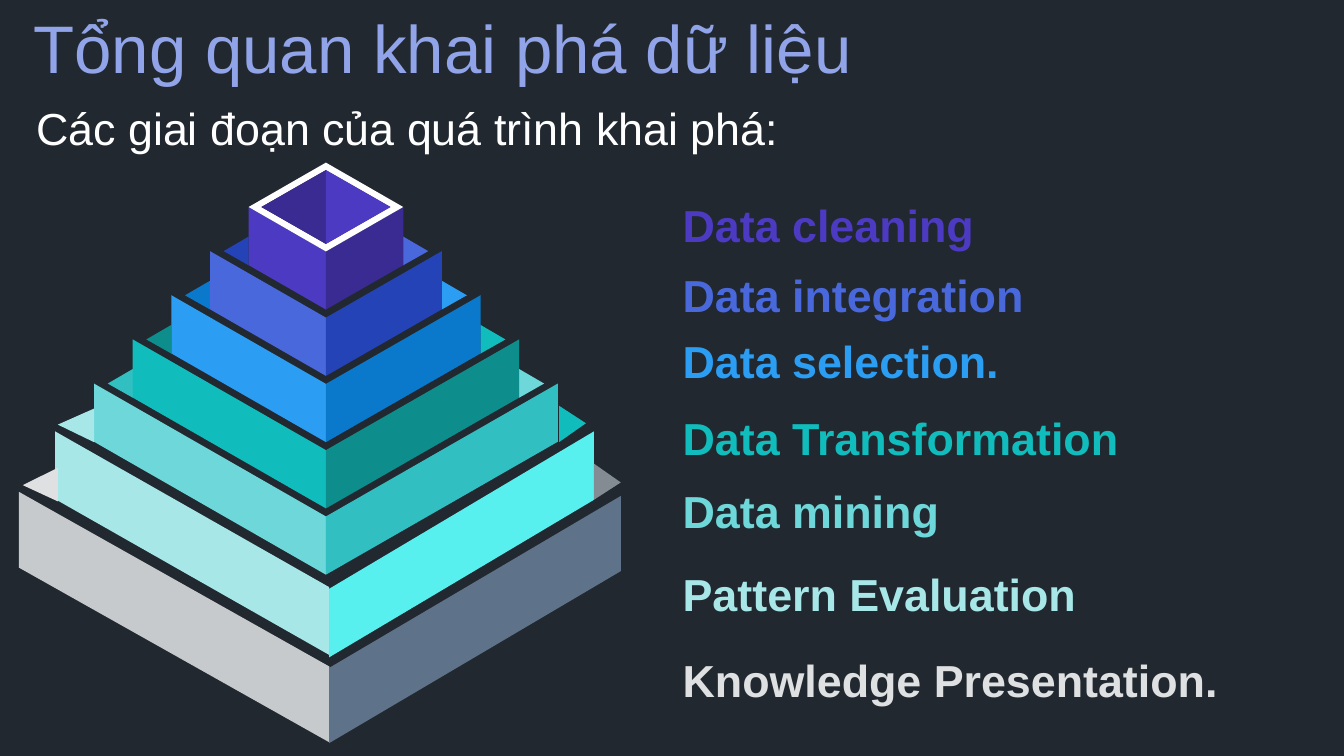
import pptx
import pptx.util
import pptx.dml.color
import pptx.enum.text
import pptx.oxml.xmlchemy

Pt = pptx.util.Pt
ALIGN = pptx.enum.text.PP_ALIGN

COLORS = {
    "background": "212830",
    "title": "92A4E9",
    "white": "FFFFFF",
    "violet": "4C3AC2",
    "violet_dark": "392B92",
    "indigo": "4968DB",
    "indigo_dark": "2443B7",
    "blue": "2B9DF3",
    "blue_dark": "0B79CB",
    "teal": "11BDBC",
    "teal_dark": "0D8E8D",
    "aqua": "6DD7D9",
    "aqua_dark": "32BFC2",
    "mint": "A7E7E8",
    "mint_bright": "58F0EF",
    "silver": "DEE0E1",
    "silver_wall": "C7CACC",
    "slate": "5E7289",
    "slate_corner": "848C93",
}

CENTER = 174.6
TIER_COLORS = ["violet", "indigo", "blue", "teal", "aqua"]
HALF_WIDTH, HALF_WIDTH_STEP = 41.4, 20.7
SIDE_TOP, SIDE_STEP = 110.9, 23.65
FRONT_TOP, FRONT_STEP = 134.7, 35.5
WALL_HEIGHT = 31.2

STAGES = [
    ("Data cleaning", "violet", 102.2, 350.6),
    ("Data integration", "indigo", 139.7, 336.2),
    ("Data selection.", "blue", 175, 259.2),
    ("Data Transformation", "teal", 216.7, 339.1),
    ("Data mining", "aqua", 255.6, 257),
    ("Pattern Evaluation", "mint", 298.1, 270),
    ("Knowledge Presentation.", "silver", 346.3, 319.7),
]


def rgb(name):
    return pptx.dml.color.RGBColor.from_string(COLORS[name])


def apply_format(target, values):
    for name, value in values.items():
        setattr(target, name, value)


def add_polygon(shapes, color, points, hole=None):
    contour = [(Pt(x), Pt(y)) for x, y in points]
    builder = shapes.build_freeform(*contour[0], scale=1.0)
    builder.add_line_segments(contour[1:], close=True)
    if hole:
        inner = [(Pt(x), Pt(y)) for x, y in hole]
        builder.move_to(*inner[0])
        builder.add_line_segments(inner[1:], close=True)
    shape = builder.convert_to_shape()
    shape.shadow.inherit = False
    shape.fill.solid()
    shape.fill.fore_color.rgb = rgb(color)
    shape.line.fill.background()


def add_wall(shapes, color, front, side, height):
    (front_x, front_y), (side_x, side_y) = front, side
    add_polygon(shapes, color, [
        (front_x, front_y + height), (front_x, front_y),
        (side_x, side_y), (side_x, side_y + height),
    ])


def add_corner(shapes, color, edge_x, top, bottom, tip):
    add_polygon(shapes, color, [(edge_x, bottom), (edge_x, top), tip])


def add_tier(shapes, level):
    light = TIER_COLORS[level]
    dark = light + "_dark"
    half = HALF_WIDTH + HALF_WIDTH_STEP * level
    side_y = SIDE_TOP + SIDE_STEP * level
    front = (CENTER, FRONT_TOP + FRONT_STEP * level)
    for sign, wall, corner in ((-1, light, dark), (1, dark, light)):
        add_wall(shapes, wall, front, (CENTER + sign * half, side_y), WALL_HEIGHT)
        if level:
            edge_x = CENTER + sign * (half - HALF_WIDTH_STEP)
            tip = (CENTER + sign * (half - 7.3), side_y)
            add_corner(shapes, corner, edge_x, side_y - 7.8, side_y + 7.6, tip)


def diamond(half_width, half_height):
    return [
        (CENTER, SIDE_TOP - half_height), (CENTER - half_width, SIDE_TOP),
        (CENTER, SIDE_TOP + half_height), (CENTER + half_width, SIDE_TOP),
    ]


def add_opening(shapes):
    inner = diamond(34.6, 19.8)
    add_polygon(shapes, "white", diamond(HALF_WIDTH, 23.8), inner)
    top, left, bottom, right = inner
    add_polygon(shapes, "violet_dark", [left, bottom, top])
    add_polygon(shapes, "violet", [top, bottom, right])


def add_pyramid(slide):
    shapes = slide.shapes.add_group_shape().shapes
    for level in reversed(range(len(TIER_COLORS))):
        add_tier(shapes, level)
    add_opening(shapes)


def add_base(slide):
    shapes = slide.shapes
    add_corner(shapes, "mint", 50.4, 218.9, 236.9, (31, 227.5))
    add_wall(shapes, "mint", (176.4, 314.6), (29.5, 231.1), 36.3)
    add_wall(shapes, "mint_bright", (176.4, 315.4), (318.2, 231.1), 36.7)
    add_corner(shapes, "teal", 299.5, 217.4, 236.9, (313.9, 226.8))
    add_corner(shapes, "silver", 31, 250.6, 268.6, (12.2, 259.9))
    add_wall(shapes, "silver_wall", (176.4, 357.1), (10.1, 263.5), 40.6)
    add_wall(shapes, "slate", (176.4, 357.8), (332.6, 265.7), 40.3)
    add_corner(shapes, "slate_corner", 318.2, 248.4, 267.8, (332.6, 258.5))


def write_text(shape, text, color, size, bold=False, wrap=True, **paragraph_format):
    frame = shape.text_frame
    frame.text = text
    apply_format(frame, {
        "word_wrap": wrap,
        "auto_size": pptx.enum.text.MSO_AUTO_SIZE.SHAPE_TO_FIT_TEXT,
        "vertical_anchor": pptx.enum.text.MSO_ANCHOR.TOP,
    })
    paragraph = frame.paragraphs[0]
    apply_format(paragraph, paragraph_format)
    font = paragraph.runs[0].font
    apply_format(font, {"name": "Arial", "size": Pt(size), "bold": bold})
    font.color.rgb = rgb(color)
    return paragraph


def fill_placeholder(shape, box, text, color, size):
    left, top, width, height = map(Pt, box)
    apply_format(shape, {"left": left, "top": top, "width": width, "height": height})
    paragraph = write_text(shape, text, color, size, wrap=False,
                           alignment=ALIGN.CENTER, space_before=Pt(0))
    properties = paragraph._p.get_or_add_pPr()
    properties.set("marL", "0")
    properties.set("indent", "0")
    properties.append(pptx.oxml.parse_xml(
        '<a:buNone xmlns:a="http://schemas.openxmlformats.org/drawingml/2006/main"/>'))


def add_stage_label(slide, text, color, top, width):
    label = slide.shapes.add_textbox(Pt(358.6), Pt(top), Pt(width), Pt(36))
    spacing = {"line_spacing": 1.07, "space_after": Pt(8)} if color == "mint" else {}
    write_text(label, text, color, 24, bold=True, **spacing)


def main():
    presentation = pptx.Presentation()
    apply_format(presentation, {"slide_width": Pt(720), "slide_height": Pt(405)})
    slide = presentation.slides.add_slide(presentation.slide_layouts[1])
    slide.background.fill.solid()
    slide.background.fill.fore_color.rgb = rgb("background")

    title, heading = slide.placeholders
    fill_placeholder(title, (8.6, 0, 457.2, 51), "Tổng quan khai phá dữ liệu", "title", 36)
    fill_placeholder(heading, (10, 50.4, 416.2, 36),
                     "Các giai đoạn của quá trình khai phá:", "white", 24)
    add_pyramid(slide)
    add_base(slide)
    for stage in STAGES:
        add_stage_label(slide, *stage)
    presentation.save("out.pptx")


if __name__ == "__main__":
    main()
